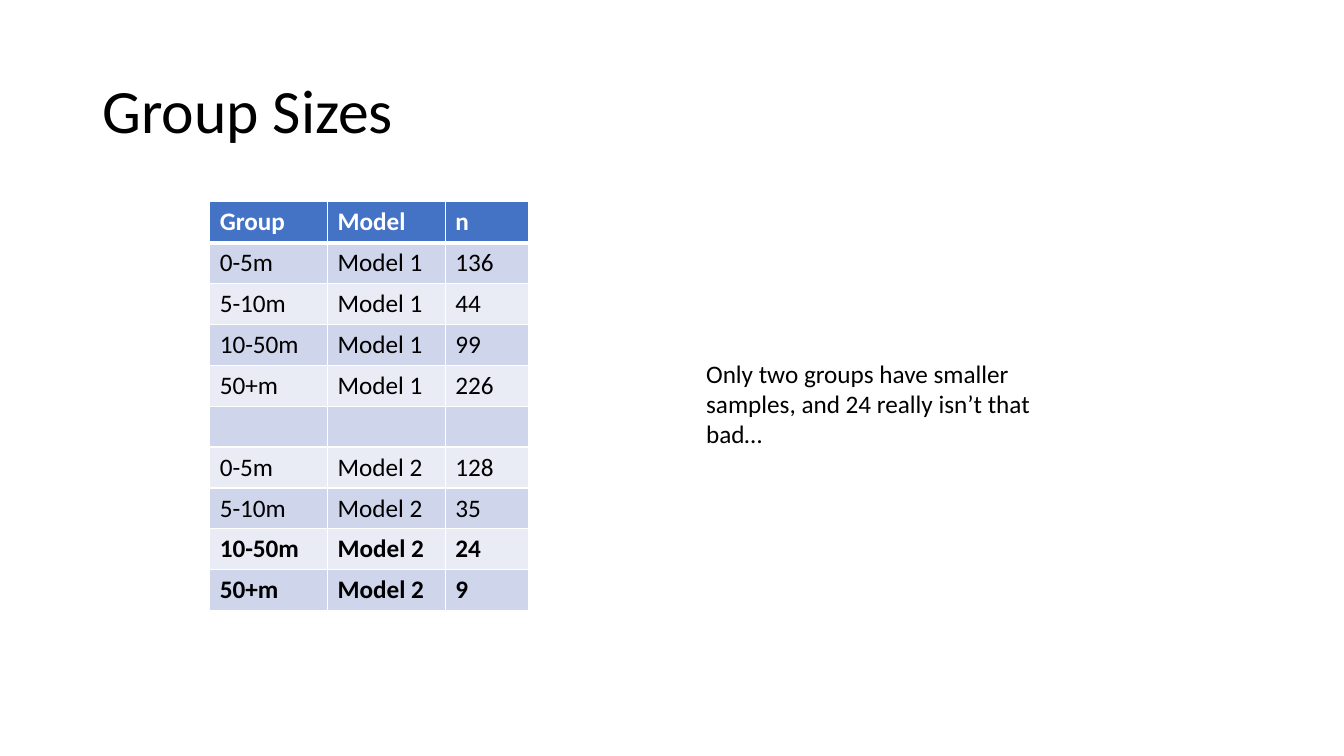
from dataclasses import dataclass
from lxml.etree import SubElement
from pptx import Presentation
from pptx.dml.color import RGBColor
from pptx.enum.text import MSO_ANCHOR
from pptx.oxml.ns import qn
from pptx.util import Inches, Pt


@dataclass(frozen=True)
class Theme:
    font: str = "Calibri"
    ink: str = "000000"
    paper: str = "FFFFFF"
    head: str = "4472C4"
    bands: tuple = ("CFD5EA", "E9EBF5")
    title: int = 44
    body: int = 18
    thin: int = 1
    thick: int = 3


THEME = Theme()
WIDE, HIGH = Inches(13.33), Inches(7.5)
COLS = (0.37, 0.37, 0.26)
HEADS = ("Group", "Model", "n")
GROUPS = ("0-5m", "5-10m", "10-50m", "50+m")
SIZES = {"Model 1": (136, 44, 99, 226), "Model 2": (128, 35, 24, 9)}
SMALL = 30


def place(left, top, width, height):
    return [round(part * side) for part, side in
            zip((left, top, width, height), (WIDE, HIGH, WIDE, HIGH))]


def write(frame, text, size, color=THEME.ink, bold=False):
    para = frame.paragraphs[0]
    para.text = text
    looks = {"name": THEME.font, "size": Pt(size), "bold": bold}
    for name, value in looks.items():
        setattr(para.font, name, value)
    para.font.color.rgb = RGBColor.from_string(color)
    return para


def add_text(slide, box, text, size, anchor=MSO_ANCHOR.TOP, space=1.0):
    frame = slide.shapes.add_textbox(*box).text_frame
    looks = {"word_wrap": True, "vertical_anchor": anchor}
    for name, value in looks.items():
        setattr(frame, name, value)
    write(frame, text, size).line_spacing = space


def edge(cell, widths):
    props = cell._tc.get_or_add_tcPr()
    for side, width in widths.items():
        line = SubElement(props, qn(f"a:ln{side}"), w=str(Pt(width)))
        fill = SubElement(line, qn("a:solidFill"))
        SubElement(fill, qn("a:srgbClr"), val=THEME.paper)


def list_rows():
    first, second = [
        [(group, model, str(size)) for group, size in zip(GROUPS, sizes)]
        for model, sizes in SIZES.items()
    ]
    return [HEADS, *first, ("", "", ""), *second]


def add_sizes(slide, box):
    rows = list_rows()
    table = slide.shapes.add_table(len(rows), len(COLS), *box).table
    for col, share in zip(table.columns, COLS):
        col.width = round(box[2] * share)
    for r, row in enumerate(rows):
        table.rows[r].height = round(box[3] / len(rows))
        top = r == 0
        bold = top or (row[2] != "" and int(row[2]) < SMALL)
        back = THEME.head if top else THEME.bands[(r - 1) % 2]
        color = THEME.paper if top else THEME.ink
        for c, text in enumerate(row):
            cell = table.cell(r, c)
            write(cell.text_frame, text, THEME.body, color, bold)
            edge(cell, {"L": THEME.thin, "R": THEME.thin,
                        "T": THEME.thick if r == 1 else THEME.thin,
                        "B": THEME.thick if top else THEME.thin})
            cell.fill.solid()
            cell.fill.fore_color.rgb = RGBColor.from_string(back)


def main():
    deck = Presentation()
    deck.slide_width, deck.slide_height = WIDE, HIGH
    slide = deck.slides.add_slide(deck.slide_layouts[6])
    add_text(slide, place(0.069, 0.053, 0.863, 0.193), "Group Sizes",
             THEME.title, MSO_ANCHOR.MIDDLE, 0.9)
    add_sizes(slide, place(0.156, 0.267, 0.237, 0.541))
    add_text(slide, place(0.518, 0.467, 0.284, 0.135),
             "Only two groups have smaller samples, and 24 really isn’t that bad…",
             THEME.body)
    deck.save("out.pptx")


if __name__ == "__main__":
    main()
